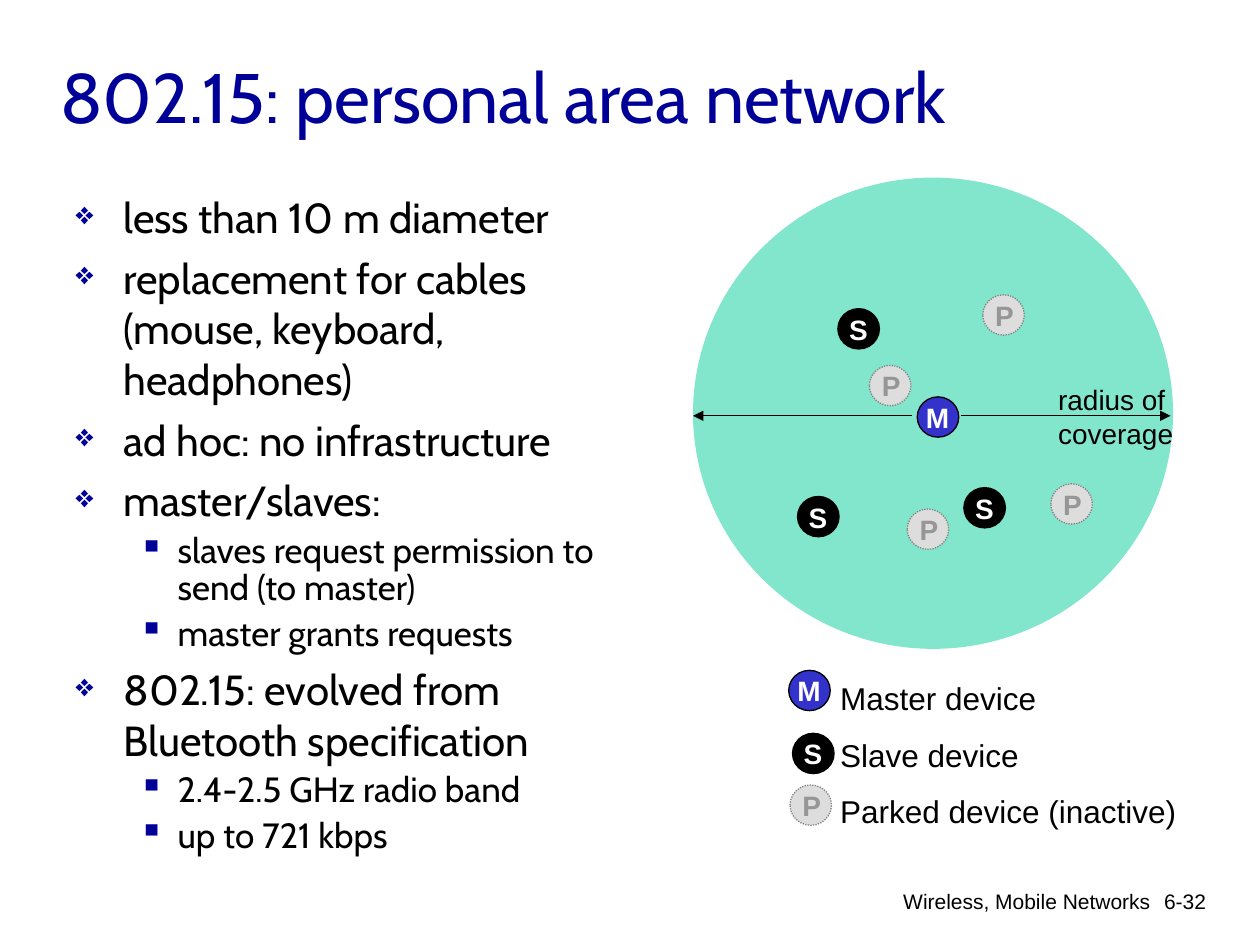
"""Build the 802.15 personal area network slide."""
from dataclasses import dataclass

from lxml.etree import SubElement
from pptx import Presentation
from pptx.dml.color import RGBColor
from pptx.enum.dml import MSO_LINE
from pptx.enum.shapes import MSO_CONNECTOR, MSO_SHAPE
from pptx.enum.text import MSO_ANCHOR, PP_ALIGN
from pptx.oxml.ns import qn
from pptx.util import Inches, Pt


@dataclass(frozen=True)
class Theme:
    sans: str = "Arial"
    display: str = "Cabin"
    navy: str = "000099"
    black: str = "000000"
    white: str = "FFFFFF"
    master: str = "3333CC"
    parked: str = "DDDDDD"
    parked_line: str = "808080"
    parked_text: str = "969696"
    coverage: str = "00CC99"
    title_size: int = 40
    body_size: int = 24
    detail_size: int = 20
    legend_size: int = 18
    label_size: int = 16
    footer_size: int = 12


theme = Theme()
deck = Presentation()
deck.slide_width, deck.slide_height = Inches(10), Inches(7.5)
page = deck.slides.add_slide(deck.slide_layouts[6])


def add_text(text, *, at, size, color=theme.black, font=theme.sans, bold=False,
             align=PP_ALIGN.LEFT, anchor=MSO_ANCHOR.TOP, wrap=True, spacing=None):
    box = page.shapes.add_textbox(*map(Inches, at))
    frame = box.text_frame
    frame.word_wrap = wrap
    frame.vertical_anchor = anchor
    frame.text = text
    for para in frame.paragraphs:
        para.alignment = align
        para.line_spacing = spacing
        for span in para.runs:
            span.font.size = Pt(size)
            span.font.name = font
            span.font.bold = bold
            span.font.color.rgb = RGBColor.from_string(color)
    return box


def add_oval(at, fill):
    oval = page.shapes.add_shape(MSO_SHAPE.OVAL, *map(Inches, at))
    oval.shadow.inherit = False
    oval.fill.solid()
    oval.fill.fore_color.rgb = RGBColor.from_string(fill)
    oval.line.fill.background()
    return oval


add_text("Wireless, Mobile Networks", at=(5.01, 7, 4.22, 0.35),
         size=theme.footer_size, align=PP_ALIGN.RIGHT)
add_text("6-32", at=(8.93, 7, 0.74, 0.5), size=theme.footer_size, align=PP_ALIGN.RIGHT)

coverage = add_oval((5.5, 1.41, 3.81, 3.74), theme.coverage)
coverage_color = coverage.fill._xPr.find(qn("a:solidFill"))[0]
SubElement(coverage_color, qn("a:alpha"), val="49000")

for start, end in ((7.63, 9.29), (7.24, 5.5)):
    arrow = page.shapes.add_connector(
        MSO_CONNECTOR.STRAIGHT, Inches(start), Inches(3.3), Inches(end), Inches(3.3))
    arrow.line.color.rgb = RGBColor.from_string(theme.black)
    arrow.line.width = Pt(0.75)
    SubElement(arrow.line._get_or_add_ln(), qn("a:tailEnd"), type="triangle")
    SubElement(arrow._element.spPr, qn("a:effectLst"))

add_text("radius of\ncoverage", at=(8.3, 2.99, 1.11, 0.64),
         size=theme.label_size, wrap=False)
add_text("Master device\nSlave device\nParked device (inactive)",
         at=(6.57, 5.19, 2.87, 1.45), size=theme.legend_size, wrap=False, spacing=1.5)

device_styles = {
    "M": (theme.master, theme.black, theme.white, -0.03),
    "S": (theme.black, theme.black, theme.white, -0.01),
    "P": (theme.parked, theme.parked_line, theme.parked_text, 0),
}
devices = (
    ("M", 7.28, 3.15), ("S", 6.65, 2.45), ("S", 7.65, 3.87), ("S", 6.33, 3.94),
    ("P", 7.8, 2.34), ("P", 7.2, 4.04), ("P", 6.9, 2.9), ("P", 8.34, 3.84),
    ("M", 6.26, 5.32), ("S", 6.29, 5.82), ("P", 6.27, 6.23),
)
for letter, left, top in devices:
    fill, line, ink, shift = device_styles[letter]
    disc = add_oval((left, top, 0.33, 0.32), fill)
    disc.line.color.rgb = RGBColor.from_string(line)
    disc.line.width = Pt(0.75)
    if letter == "P":
        disc.line.dash_style = MSO_LINE.ROUND_DOT
    add_text(letter, at=(left + shift, top - 0.02, 0.33, 0.37),
             size=theme.label_size, color=ink, bold=True)

add_text("802.15: personal area network", at=(0.38, 0.3, 8.5, 0.92),
         size=theme.title_size, color=theme.navy, font=theme.display,
         anchor=MSO_ANCHOR.MIDDLE)

points = (
    (0, "less than 10 m diameter"),
    (0, "replacement for cables (mouse, keyboard, headphones)"),
    (0, "ad hoc: no infrastructure"),
    (0, "master/slaves:"),
    (1, "slaves request permission to send (to master)"),
    (1, "master grants requests"),
    (0, "802.15: evolved from Bluetooth specification"),
    (1, "2.4-2.5 GHz radio band"),
    (1, "up to 721 kbps"),
)
levels = (
    ("❖", 75, 0.38, 0.38, 6, None, theme.body_size),
    ("▪", 100, 0.81, 0.31, 5, Pt(21), theme.detail_size),
)
body = add_text("\n".join(text for level, text in points), at=(0.52, 1.47, 4.88, 6.03),
                size=theme.body_size, font=theme.display)
body.text_frame.margin_left = Inches(0.08)
for index, (para, (level, text)) in enumerate(zip(body.text_frame.paragraphs, points)):
    bullet, scale, margin, hanging, before, spacing, size = levels[level]
    para.level = level
    para.line_spacing = spacing
    para.space_before = Pt(before if index else 0)
    para.runs[0].font.size = Pt(size)
    props = para._p.get_or_add_pPr()
    props.set("marL", str(Inches(margin)))
    props.set("indent", str(-Inches(hanging)))
    SubElement(SubElement(props, qn("a:buClr")), qn("a:srgbClr"), val=theme.navy)
    SubElement(props, qn("a:buSzPct"), val=str(scale * 1000))
    SubElement(props, qn("a:buChar"), char=bullet)

deck.save("out.pptx")
